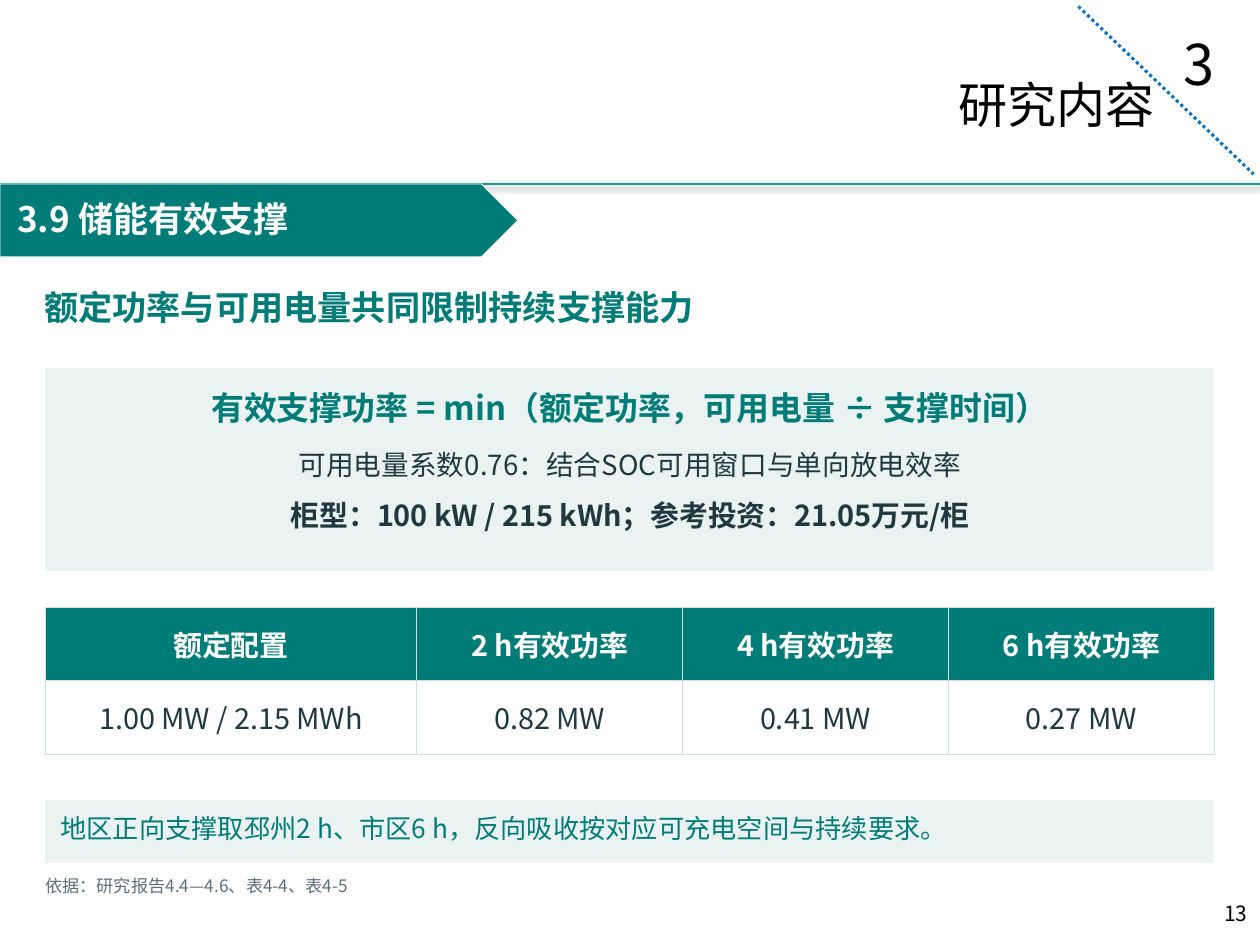
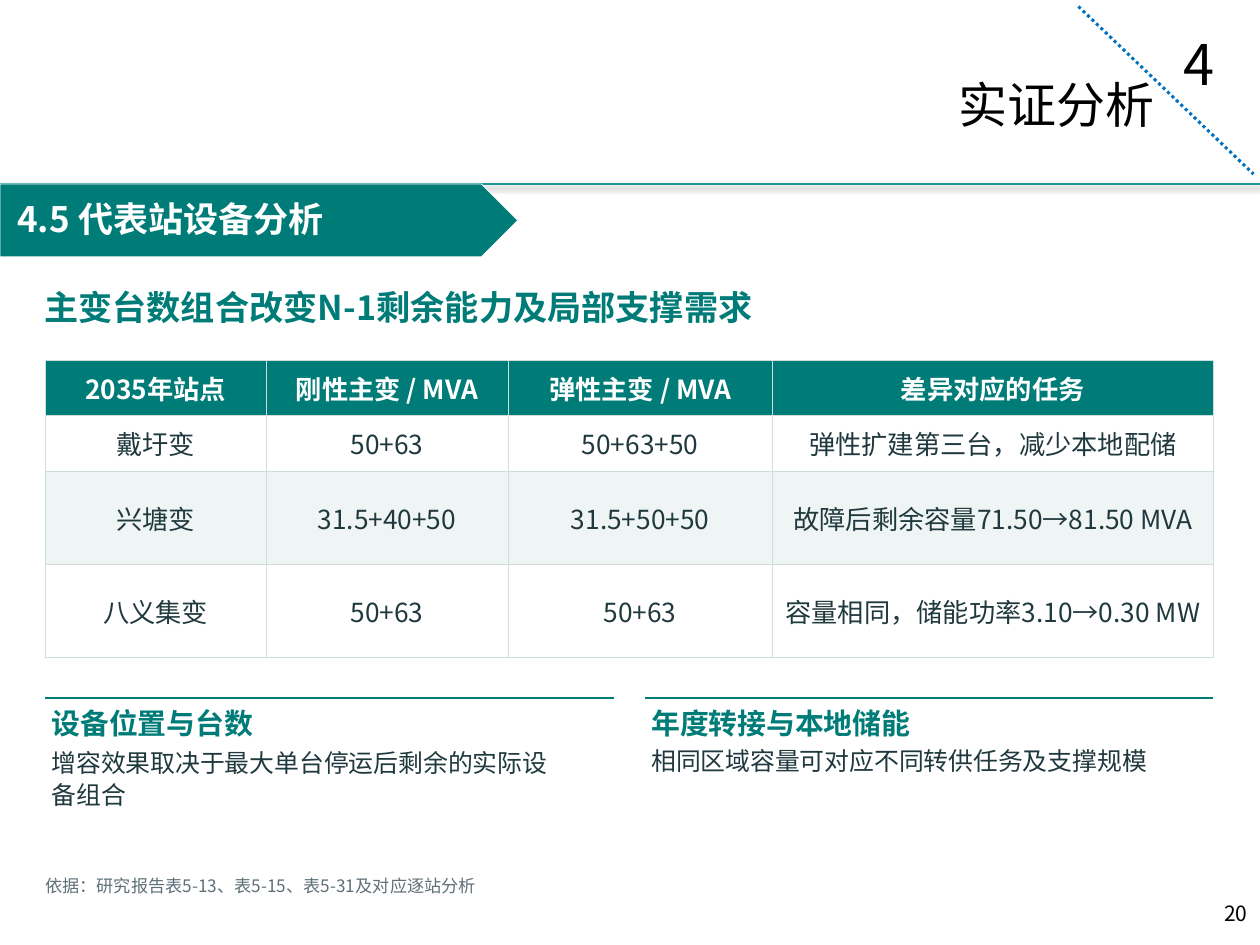
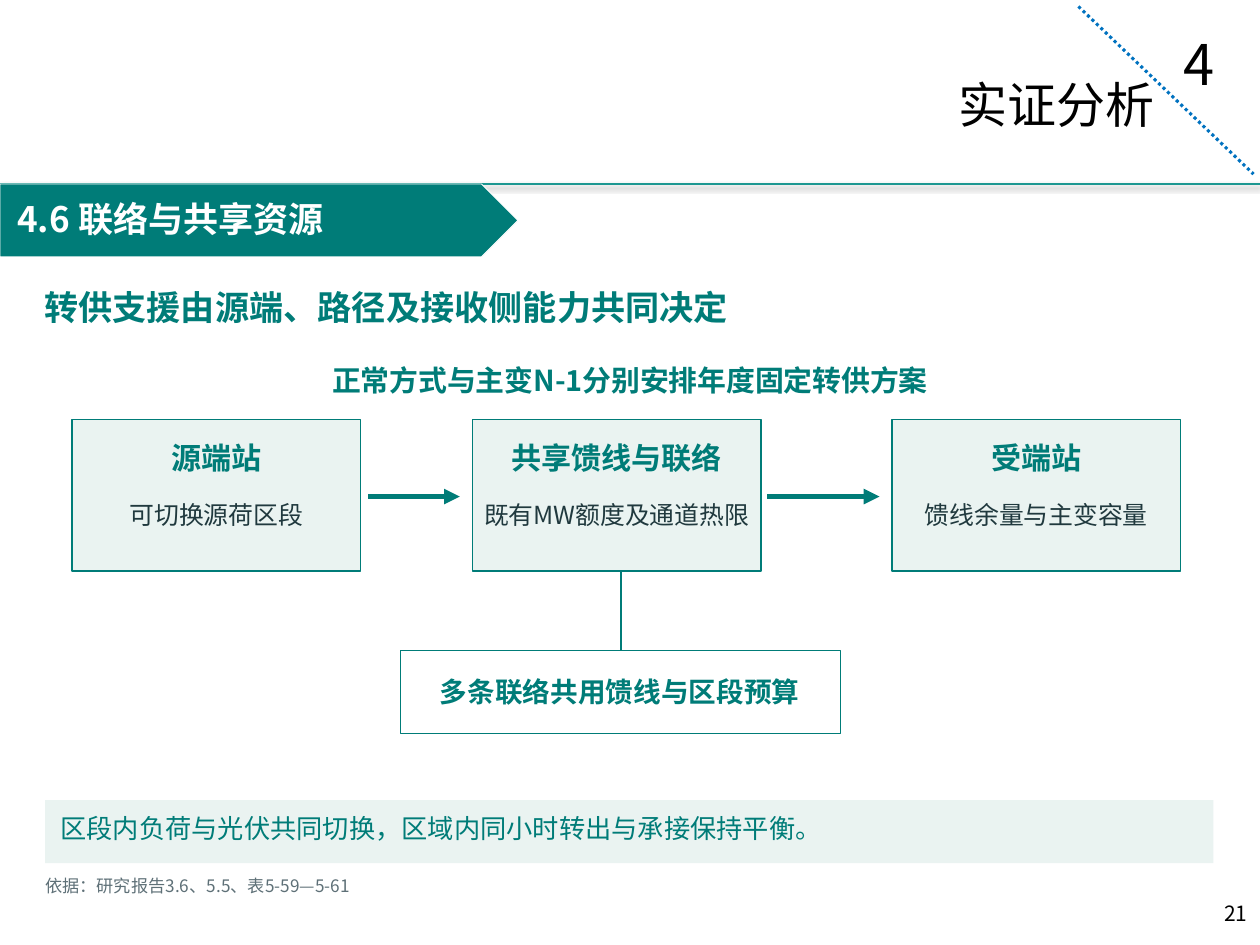
from dataclasses import dataclass
from typing import NamedTuple

from lxml import etree
from pptx import Presentation
from pptx.dml.color import RGBColor
from pptx.enum.dml import MSO_LINE
from pptx.enum.shapes import MSO_CONNECTOR, MSO_SHAPE
from pptx.enum.text import MSO_ANCHOR, MSO_AUTO_SIZE, PP_ALIGN
from pptx.oxml.ns import qn
from pptx.util import Cm, Pt

FONT = "Noto Sans CJK SC"
TEAL = RGBColor(0x00, 0x7C, 0x78)
RULE = RGBColor(0x1C, 0x97, 0x91)
BLUE = RGBColor(0x00, 0x72, 0xC0)
PALE = RGBColor(0xEA, 0xF3, 0xF1)
BAND = RGBColor(0xEF, 0xF5, 0xF4)
GRID = RGBColor(0xD0, 0xDE, 0xDB)
INK = RGBColor(0x20, 0x39, 0x3E)
GRAY = RGBColor(0x5E, 0x70, 0x77)
BLACK = RGBColor(0x00, 0x00, 0x00)
WHITE = RGBColor(0xFF, 0xFF, 0xFF)

LEFT, MID, RIGHT = PP_ALIGN.LEFT, PP_ALIGN.CENTER, PP_ALIGN.RIGHT
TOP, CENTER = MSO_ANCHOR.TOP, MSO_ANCHOR.MIDDLE
FIXED = MSO_AUTO_SIZE.NONE
RECT, ARROW = MSO_SHAPE.RECTANGLE, MSO_SHAPE.PENTAGON
STRAIGHT = MSO_CONNECTOR.STRAIGHT
DOTS = MSO_LINE.ROUND_DOT

WIDE, HIGH = 25.4, 19.05
EDGE, SPAN = 0.91, 23.55
RULE_Y = 3.71


class Box(NamedTuple):
    x: float
    y: float
    w: float
    h: float

    def cm(self) -> list:
        return [Cm(v) for v in self]


@dataclass
class Page:
    mark: str
    title: str
    tag: str
    lead: str
    lead_w: float
    base: str
    base_w: float
    num: int


@dataclass
class Note:
    head: str
    head_w: float
    body: str
    body_w: float
    body_h: float


@dataclass
class Card:
    x: float
    head: str
    body: str


# Drawing helpers
def style(para, size: float, color=INK, bold=False, align=LEFT, lead=None):
    para.alignment = align
    if lead:
        para.line_spacing = Pt(lead)
    for run in para.runs:
        font = run.font
        font.name, font.size, font.bold = FONT, Pt(size), bold
        font.color.rgb = color
        east = etree.SubElement(font._element, qn("a:ea"))
        east.set("typeface", FONT)


def write(slide, text: str, box: Box, size: float, inset=(0, 0, 0, 0),
          wrap=False, shape=None, **form):
    if shape is None:
        shape = slide.shapes.add_textbox(*box.cm())
    else:
        shape.left, shape.top, shape.width, shape.height = box.cm()
    frame = shape.text_frame
    frame.auto_size, frame.word_wrap = FIXED, wrap
    frame.vertical_anchor = TOP
    (frame.margin_left, frame.margin_top,
     frame.margin_right, frame.margin_bottom) = [Cm(v) for v in inset]
    frame.text = text
    style(frame.paragraphs[0], size, **form)


def block(slide, box: Box, fill=PALE, line=None, width=0.75, kind=RECT):
    shape = slide.shapes.add_shape(kind, *box.cm())
    shape.shadow.inherit = False
    shape.fill.solid()
    shape.fill.fore_color.rgb = fill
    if line is None:
        shape.line.fill.background()
    else:
        shape.line.color.rgb = line
        shape.line.width = Pt(width)


def stroke(slide, x1: float, y1: float, x2: float, y2: float,
           color=TEAL, width=1.5, dash=None, head=False, shade=False):
    ends = [Cm(v) for v in (x1, y1, x2, y2)]
    link = slide.shapes.add_connector(STRAIGHT, *ends)
    link.line.color.rgb = color
    link.line.width = Pt(width)
    if dash:
        link.line.dash_style = dash
    props = link._element.spPr
    if head:
        tail = etree.SubElement(props.find(qn("a:ln")), qn("a:tailEnd"))
        tail.set("type", "triangle")
    effect = etree.SubElement(props, qn("a:effectLst"))
    if shade:
        cast = etree.SubElement(effect, qn("a:outerShdw"), blurRad=str(Pt(3.1)),
                                dist=str(Pt(1.8)), dir="5400000", rotWithShape="0")
        tint = etree.SubElement(cast, qn("a:srgbClr"), val=str(BLACK))
        etree.SubElement(tint, qn("a:alpha"), val="35000")


def border(cell):
    props = cell._tc.get_or_add_tcPr()
    for i, side in enumerate(("lnL", "lnR", "lnT", "lnB")):
        line = etree.Element(qn(f"a:{side}"), w=str(Pt(0.45)))
        fill = etree.SubElement(line, qn("a:solidFill"))
        etree.SubElement(fill, qn("a:srgbClr"), val=str(GRID))
        props.insert(i, line)


def grid(slide, y: float, cols: list[float], rows: list[float],
         data: list[list[str]], size: float):
    box = Box(EDGE, y, sum(cols), sum(rows))
    table = slide.shapes.add_table(len(rows), len(cols), *box.cm()).table
    table.horz_banding = False
    for col, w in zip(table.columns, cols):
        col.width = Cm(w)
    for r, (row, h) in enumerate(zip(table.rows, rows)):
        row.height = Cm(h)
        fill = TEAL if r == 0 else BAND if r == 2 else WHITE
        for cell, text in zip(row.cells, data[r]):
            cell.fill.solid()
            cell.fill.fore_color.rgb = fill
            border(cell)
            cell.vertical_anchor = CENTER
            cell.margin_left = cell.margin_right = Cm(0.08)
            cell.margin_top = cell.margin_bottom = Cm(0.08)
            cell.text = text
            style(cell.text_frame.paragraphs[0], size, align=MID,
                  color=INK if r else WHITE, bold=r == 0)


# Elements shared by all slides
def start(deck, page: Page):
    slide = deck.slides.add_slide(deck.slide_layouts[5])
    stroke(slide, 0, RULE_Y, WIDE, RULE_Y, color=RULE, shade=True)
    write(slide, page.mark, Box(23.6, 0.46, 0.86, 1.63), 32,
          inset=(0.25, 0.13, 0, 0), color=BLACK)
    write(slide, page.title, Box(12.65, 1.37, 10.87, 1.45), 28,
          inset=(0, 0.13, 0.25, 0), shape=slide.shapes.title,
          color=BLACK, align=RIGHT)
    stroke(slide, 21.74, 0.13, 25.27, 3.51, color=BLUE, width=1.75, dash=DOTS)
    write(slide, str(page.num), Box(19.69, 18.03, 5.71, 1.02), 12,
          inset=(0, 0.13, 0.25, 0), color=BLACK, align=RIGHT)
    block(slide, Box(0, RULE_Y, 10.44, 1.47), fill=TEAL, line=WHITE,
          width=0.5, kind=ARROW)
    write(slide, page.tag, Box(0.1, 3.86, 9.65, 1.12), 20,
          inset=(0.25, 0.13, 0, 0), color=WHITE, bold=True)
    write(slide, page.lead, Box(0.89, 5.77, page.lead_w, 1.07), 19.5,
          color=TEAL, bold=True)
    write(slide, page.base, Box(EDGE, 17.65, page.base_w, 0.53), 9.8, color=GRAY)
    return slide


def close(slide, text: str, w: float):
    block(slide, Box(EDGE, 16.13, SPAN, 1.27))
    write(slide, text, Box(1.22, 16.38, w, 0.81), 15, color=TEAL)


# Slide bodies
def power(deck):
    slide = start(deck, Page(
        "3", "研究内容", "3.9 储能有效支撑",
        "额定功率与可用电量共同限制持续支撑能力", 13.92,
        "依据：研究报告4.4—4.6、表4-4、表4-5", 6.68, 13))
    block(slide, Box(EDGE, 7.42, SPAN, 4.09))
    lines = [
        ("有效支撑功率 = min（额定功率，可用电量 ÷ 支撑时间）",
         7.82, 17.7, 1.02, 18.8, TEAL, True),
        ("可用电量系数0.76：结合SOC可用窗口与单向放电效率",
         9.02, 14.33, 0.86, 15.8, INK, False),
        ("柜型：100 kW / 215 kWh；参考投资：21.05万元/柜",
         10.03, 15.01, 0.89, 16.5, INK, True),
    ]
    for text, y, w, h, size, color, bold in lines:
        write(slide, text, Box((WIDE - w) / 2, y, w, h), size,
              color=color, bold=bold, align=MID)
    grid(slide, 12.24, [7.49] + [5.36] * 3, [1.48] * 2, [
        ["额定配置", "2 h有效功率", "4 h有效功率", "6 h有效功率"],
        ["1.00 MW / 2.15 MWh", "0.82 MW", "0.41 MW", "0.27 MW"],
    ], 16.5)
    close(slide, "地区正向支撑取邳州2 h、市区6 h，反向吸收按对应可充电空间与持续要求。", 19)


def sites(deck):
    slide = start(deck, Page(
        "4", "实证分析", "4.5 代表站设备分析",
        "主变台数组合改变N-1剩余能力及局部支撑需求", 15.24,
        "依据：研究报告表5-13、表5-15、表5-31及对应逐站分析", 9.4, 20))
    grid(slide, 7.26, [4.45, 4.88, 5.33, 8.89], [1.12, 1.12, 1.88, 1.88], [
        ["2035年站点", "刚性主变 / MVA", "弹性主变 / MVA", "差异对应的任务"],
        ["戴圩变", "50+63", "50+63+50", "弹性扩建第三台，减少本地配储"],
        ["兴塘变", "31.5+40+50", "31.5+50+50", "故障后剩余容量71.50→81.50 MVA"],
        ["八义集变", "50+63", "50+63", "容量相同，储能功率3.10→0.30 MW"],
    ], 15)
    notes = [
        Note("设备位置与台数", 4.37,
             "增容效果取决于最大单台停运后剩余的实际设备组合", 10.06, 1.4),
        Note("年度转接与本地储能", 5.59,
             "相同区域容量可对应不同转供任务及支撑规模", 10.67, 0.76),
    ]
    for i, note in enumerate(notes):
        x = EDGE + i * 12.09
        stroke(slide, x, 14.07, x + 11.46, 14.07)
        write(slide, note.head, Box(x + 0.13, 14.22, note.head_w, 0.89), 16.5,
              color=TEAL, bold=True)
        write(slide, note.body, Box(x + 0.13, 15.04, note.body_w, note.body_h),
              14.2, wrap=True, lead=18 if note.body_h > 1 else None)


def links(deck):
    slide = start(deck, Page(
        "4", "实证分析", "4.6 联络与共享资源",
        "转供支援由源端、路径及接收侧能力共同决定", 14.63,
        "依据：研究报告3.6、5.5、表5-59—5-61", 6.71, 21))
    cards = [
        Card(1.45, "源端站", "可切换源荷区段"),
        Card(9.52, "共享馈线与联络", "既有MW额度及通道热限"),
        Card(17.98, "受端站", "馈线余量与主变容量"),
    ]
    for card in cards:
        block(slide, Box(card.x, 8.46, 5.82, 3.05), line=TEAL)
        write(slide, card.head, Box(card.x, 8.86, 5.82, 0.94), 17.2,
              color=TEAL, bold=True, align=MID)
        write(slide, card.body, Box(card.x, 10.08, 5.82, 0.76), 14.2, align=MID)
    for x1, x2 in ((7.42, 9.27), (15.47, 17.73)):
        stroke(slide, x1, 10.01, x2, 10.01, width=3, head=True)
    stroke(slide, 12.52, 11.53, 12.52, 13.11)
    block(slide, Box(8.08, 13.11, 8.86, 1.68), fill=WHITE, line=TEAL)
    write(slide, "多条联络共用馈线与区段预算", Box(8.64, 13.61, 7.72, 0.86), 15.8,
          color=TEAL, bold=True, align=MID)
    write(slide, "正常方式与主变N-1分别安排年度固定转供方案",
          Box(6.25, 7.32, 12.9, 0.89), 16.5, color=TEAL, bold=True, align=MID)
    close(slide, "区段内负荷与光伏共同切换，区域内同小时转出与承接保持平衡。", 16.31)


def main():
    deck = Presentation()
    deck.slide_width, deck.slide_height = Cm(WIDE), Cm(HIGH)
    for draw in (power, sites, links):
        draw(deck)
    deck.save("out.pptx")


if __name__ == "__main__":
    main()
